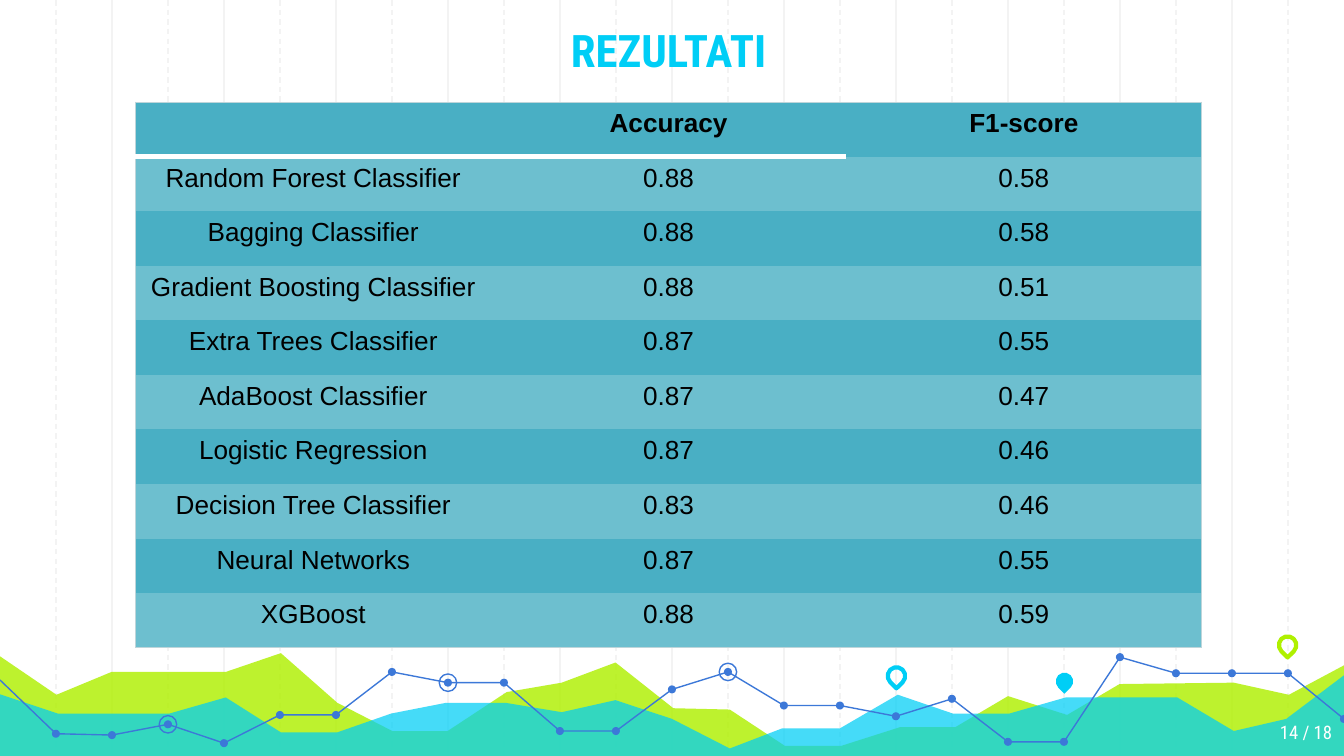
from dataclasses import dataclass

from lxml import etree
from pptx import Presentation
from pptx import util as u
from pptx.dml.color import RGBColor
from pptx.enum import dml, shapes, text
from pptx.oxml import ns

GREEN, CYAN, BLUE, GRID = "AFF000", "00CEF6", "3C78D8", "F3F3F3"
WHITE, BLACK, EDGE = "FFFFFF", "000000", "BED5DA"
DARK_ROW, LIGHT_ROW = "49AFC4", "6DBFCF"
HEADING_FONT, TABLE_FONT = "Roboto Condensed", "Arial"
PAGE_WIDTH = 10
PAGE_HEIGHT = PAGE_WIDTH * 9 / 16
STEP = 5 / 12  # spacing of the vertical guides

Point = tuple[float, float]


@dataclass
class Area:
    color: str
    opacity: int
    points: list[Point]


@dataclass
class Mark:
    x: float
    y: float
    size: float
    kind: shapes.MSO_SHAPE
    fill: str | None = None
    line: str | None = None
    weight: float = 0.75
    rotation: float = 0


@dataclass
class Border:
    color: str
    weight: float


def rgb(color: str) -> RGBColor:
    return RGBColor.from_string(color)


def child(parent, tag: str, **attributes: str):
    return etree.SubElement(parent, ns.qn(tag), attributes)


def paint(shape, fill: str | None, line: str | None, weight: float = 0.75) -> None:
    shape.shadow.inherit = False
    if fill:
        shape.fill.solid()
        shape.fill.fore_color.rgb = rgb(fill)
    else:
        shape.fill.background()
    if line:
        shape.line.color.rgb = rgb(line)
        shape.line.width = u.Pt(weight)
    else:
        shape.line.fill.background()


def add_guide(page, x: float, dashed: bool) -> None:
    guide = page.shapes.add_connector(
        shapes.MSO_CONNECTOR.STRAIGHT, u.Inches(x), 0, u.Inches(x), u.Inches(5.65))
    guide.line.color.rgb = rgb(GRID)
    guide.line.width = u.Pt(0.75)
    if dashed:
        guide.line.dash_style = dml.MSO_LINE.DASH
    child(guide.element.spPr, "a:effectLst")


def add_outline(page, points: list[Point], close: bool):
    corners = [(u.Inches(x), u.Inches(y)) for x, y in points]
    builder = page.shapes.build_freeform(*corners[0], scale=1.0)
    builder.add_line_segments(corners[1:], close=close)
    return builder.convert_to_shape()


def add_area(page, area: Area) -> None:
    shape = add_outline(page, area.points, True)
    paint(shape, area.color, None)
    tint = shape.element.spPr.find(ns.qn("a:solidFill"))[0]
    child(tint, "a:alpha", val=str(area.opacity * 1000))


def add_mark(page, mark: Mark) -> None:
    half = mark.size / 2
    shape = page.shapes.add_shape(
        mark.kind, u.Inches(mark.x - half), u.Inches(mark.y - half),
        u.Inches(mark.size), u.Inches(mark.size))
    shape.rotation = mark.rotation
    paint(shape, mark.fill, mark.line, mark.weight)


def write(frame, words: str, font: str, size: float, color: str,
          align: text.PP_ALIGN, bold: bool = False) -> None:
    frame.text = words
    para = frame.paragraphs[0]
    para.alignment = align
    for span in para.runs:
        span.font.name, span.font.size, span.font.bold = font, u.Pt(size), bold
        span.font.color.rgb = rgb(color)


def set_insets(frame) -> None:
    frame.margin_left = frame.margin_right = u.Inches(0.1)
    frame.margin_top = frame.margin_bottom = u.Inches(0.1)
    frame.word_wrap = True


def set_borders(cell, sides: dict[str, Border | None]) -> None:
    properties = cell._tc.get_or_add_tcPr()
    for side in "LRTB":
        border = sides.get(side)
        width = u.Pt(border.weight) if border else 0
        line = child(properties, f"a:ln{side}", w=str(int(width)))
        if border:
            child(child(line, "a:solidFill"), "a:srgbClr", val=border.color)
        else:
            child(line, "a:noFill")


def add_results(page, rows: list[tuple[str, str, str]]) -> None:
    last_row, last_column = len(rows) - 1, len(rows[0]) - 1
    table = page.shapes.add_table(
        len(rows), len(rows[0]), u.Inches(1.01), u.Inches(0.76),
        u.Inches(7.93), u.Inches(4.06)).table
    edge, rule = Border(EDGE, 0.75), Border(WHITE, 3)
    for r, row in enumerate(rows):
        for c, words in enumerate(row):
            cell = table.cell(r, c)
            header_rule = rule if c < last_column else None
            set_borders(cell, {
                "L": edge if c == 0 else None,
                "R": edge if c == last_column else None,
                "T": edge if r == 0 else header_rule if r == 1 else None,
                "B": edge if r == last_row else header_rule if r == 0 else None,
            })
            cell.fill.solid()
            cell.fill.fore_color.rgb = rgb(LIGHT_ROW if r % 2 else DARK_ROW)
            write(cell.text_frame, words, TABLE_FONT, 14, BLACK,
                  text.PP_ALIGN.CENTER, bold=r == 0)


AREAS = [
    Area(GREEN, 82, [
        (-0.02, 4.87), (0.42, 5.17), (0.83, 5), (1.68, 5), (2.09, 4.86), (2.51, 5.23),
        (2.92, 5.44), (3.33, 5.44), (3.77, 5.15), (4.18, 5.08), (4.58, 4.93), (5.01, 5.27),
        (5.43, 5.28), (5.84, 5.55), (6.26, 5.55), (6.7, 5.41), (7.11, 5.41), (7.5, 5.18),
        (7.94, 5.32), (8.33, 5.09), (9.18, 5.08), (9.59, 5.17), (10.02, 4.94),
        (10.01, 5.64), (-0.03, 5.64)]),
    Area(CYAN, 73, [
        (-0.02, 5.16), (0.43, 5.31), (1.26, 5.31), (1.68, 5.19), (2.09, 5.45), (2.51, 5.45),
        (2.91, 5.31), (3.32, 5.23), (3.76, 5.23), (4.18, 5.3), (4.58, 5.21), (5, 5.35),
        (5.43, 5.57), (5.82, 5.42), (6.25, 5.42), (6.68, 5.17), (7.09, 5.31), (7.51, 5.31),
        (7.93, 5.19), (8.76, 5.19), (9.18, 5.44), (9.57, 5.35), (10.02, 5.01),
        (10.02, 5.65), (-0.03, 5.65)]),
]
TREND_HEIGHTS = [5.06, 5.46, 5.47, 5.39, 5.53, 5.32, 5.32, 5, 5.08, 5.08, 5.44, 5.44, 5.13,
                 5, 5.25, 5.25, 5.33, 5.2, 5.52, 5.52, 4.89, 5.01, 5.01, 5.01, 5.35]
TREND = [(i * STEP, y) for i, y in enumerate(TREND_HEIGHTS)]
TREND_PARTS = [(0, 11), (11, 20), (20, 24)]
RINGED = [3, 8, 13]
TEAR, OVAL = shapes.MSO_SHAPE.TEAR, shapes.MSO_SHAPE.OVAL
PINS = [
    Mark(6.67, 5.03, 0.13, TEAR, line=CYAN, weight=2.25, rotation=135),
    Mark(7.92, 5.07, 0.13, TEAR, fill=CYAN, rotation=135),
    Mark(9.58, 4.8, 0.13, TEAR, line=GREEN, weight=2.25, rotation=135),
]
RESULTS = [
    ("", "Accuracy", "F1-score"),
    ("Random Forest Classifier", "0.88", "0.58"),
    ("Bagging Classifier", "0.88", "0.58"),
    ("Gradient Boosting Classifier", "0.88", "0.51"),
    ("Extra Trees Classifier", "0.87", "0.55"),
    ("AdaBoost Classifier", "0.87", "0.47"),
    ("Logistic Regression", "0.87", "0.46"),
    ("Decision Tree Classifier", "0.83", "0.46"),
    ("Neural Networks", "0.87", "0.55"),
    ("XGBoost", "0.88", "0.59"),
]

deck = Presentation()
deck.slide_width, deck.slide_height = u.Inches(PAGE_WIDTH), u.Inches(PAGE_HEIGHT)
page = deck.slides.add_slide(deck.slide_layouts[5])

# Vertical guides, alternately dashed and solid
for i in range(1, 24):
    add_guide(page, i * STEP, dashed=i % 2 == 1)

# Landscape, trend line and its markers
for area in AREAS:
    add_area(page, area)
for first, last in TREND_PARTS:
    paint(add_outline(page, TREND[first:last + 1], False), None, BLUE)
dots = [Mark(x, y, 0.06, OVAL, fill=BLUE) for x, y in TREND[1:]]
rings = [Mark(*TREND[i], 0.13, OVAL, line=BLUE) for i in RINGED]
for mark in dots + rings + PINS:
    add_mark(page, mark)

# Title, kept in front of the guides
title = page.shapes.title
title.left, title.top = u.Inches(1.15), u.Inches(-0.11)
title.width, title.height = u.Inches(7.65), u.Inches(0.78)
set_insets(title.text_frame)
title.text_frame.vertical_anchor = text.MSO_ANCHOR.BOTTOM
write(title.text_frame, "REZULTATI", HEADING_FONT, 24, CYAN, text.PP_ALIGN.CENTER, bold=True)
page.shapes.element.append(title.element)

# Page number
number = page.shapes.add_textbox(u.Inches(9.41), u.Inches(5.28), u.Inches(0.6), u.Inches(0.35))
set_insets(number.text_frame)
write(number.text_frame, "14 / 18", HEADING_FONT, 10, WHITE, text.PP_ALIGN.RIGHT)

# Results table
add_results(page, RESULTS)

deck.save("out.pptx")
